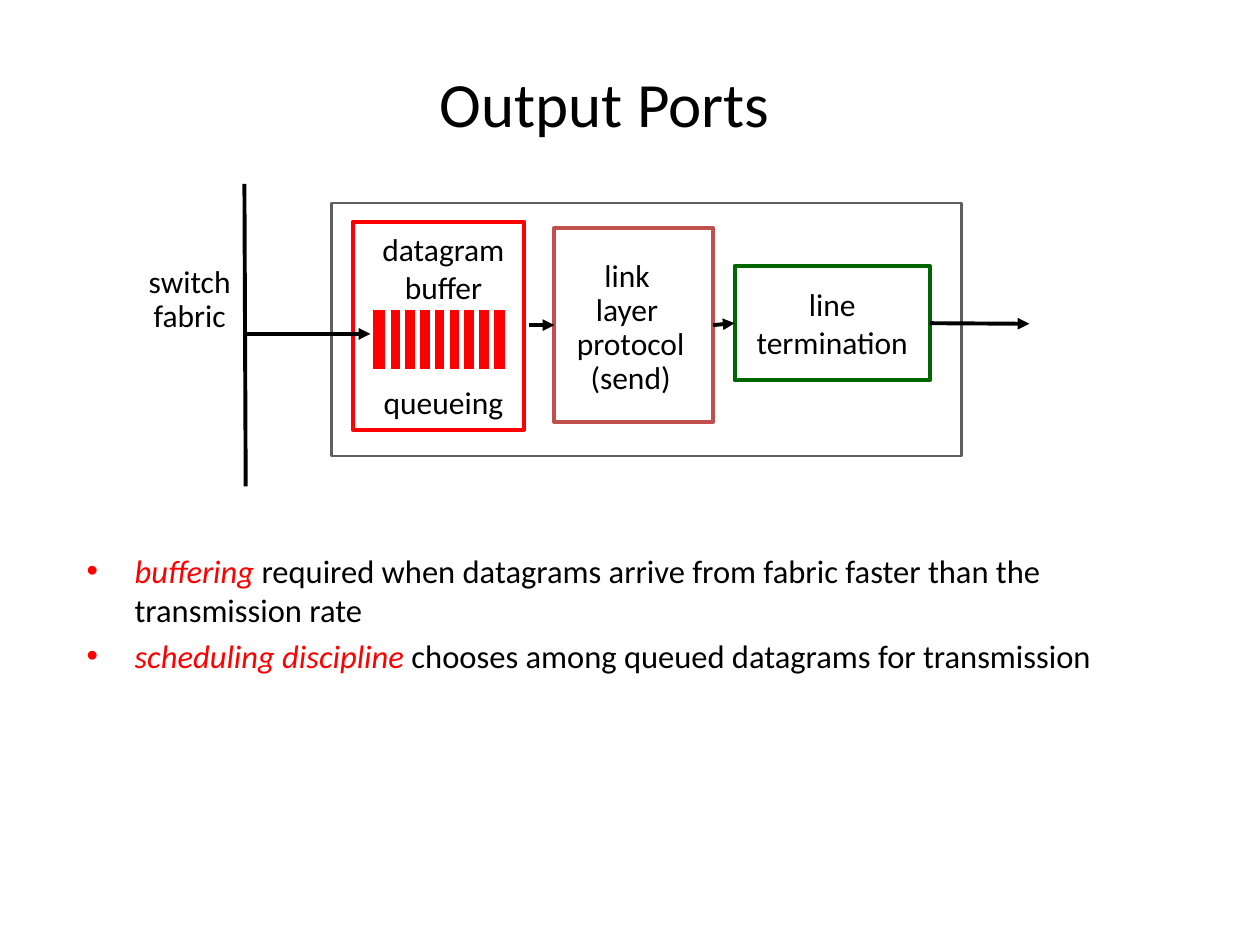
from lxml import etree
from pptx import Presentation
from pptx.dml.color import RGBColor
from pptx.enum.shapes import MSO_CONNECTOR, MSO_SHAPE
from pptx.enum.text import MSO_ANCHOR, PP_ALIGN
from pptx.oxml.ns import qn
from pptx.util import Inches, Pt

RECT, STRAIGHT = MSO_SHAPE.RECTANGLE, MSO_CONNECTOR.STRAIGHT
TOP, MIDDLE = MSO_ANCHOR.TOP, MSO_ANCHOR.MIDDLE
LEFT, CENTER = PP_ALIGN.LEFT, PP_ALIGN.CENTER
LEFT_SIDE, RIGHT_SIDE = 1, 3
FONT = "Calibri"
COLORS = {"black": "000000", "white": "FFFFFF", "red": "FF0000",
          "gray": "5F5F5F", "green": "006600", "brick": "C0504D"}


def rgb(name):
    return RGBColor.from_string(COLORS[name])


def write(shape, paragraphs, size=18, align=CENTER, anchor=MIDDLE, wrap=False, spacing=None):
    """Fill a shape with paragraphs, each a list of (text, color, italic) runs or a string."""
    frame = shape.text_frame
    frame.word_wrap = wrap
    frame.vertical_anchor = anchor
    for index, runs in enumerate(paragraphs):
        paragraph = frame.paragraphs[0] if index == 0 else frame.add_paragraph()
        paragraph.alignment = align
        paragraph.line_spacing = spacing
        if isinstance(runs, str):
            runs = [(runs, "black", False)]
        for text, color, italic in runs:
            run = paragraph.add_run()
            run.text = text
            run.font.name = FONT
            run.font.size = Pt(size)
            run.font.italic = italic
            run.font.color.rgb = rgb(color)
    return frame


prs = Presentation()
prs.slide_width, prs.slide_height = Inches(10), Inches(7.5)
slide = prs.slides.add_slide(prs.slide_layouts[6])
shapes = slide.shapes

# Title
title = shapes.add_textbox(Inches(0.55), Inches(0.44), Inches(8.5), Inches(0.75))
write(title, ["Output Ports"], size=36, wrap=True)

# Bulleted notes
notes = shapes.add_textbox(Inches(0.59), Inches(4.32), Inches(8.5), Inches(1))
notes_frame = write(notes, [
    [("buffering", "red", True),
     (" required when datagrams arrive from fabric faster than the transmission rate",
      "black", False)],
    [("scheduling discipline", "red", True),
     (" chooses among queued datagrams for transmission", "black", False)],
], size=18.6, align=LEFT, anchor=TOP, wrap=True)
for paragraph in notes_frame.paragraphs:
    properties = paragraph._p.get_or_add_pPr()
    properties.set("marL", str(Inches(0.38)))
    properties.set("indent", str(-Inches(0.38)))
    etree.SubElement(properties, qn("a:buFont"), typeface="Arial")
    etree.SubElement(properties, qn("a:buChar"), char="•")
notes_frame.paragraphs[1].space_before = Pt(4)

# Boxes: container, left, top, width, height, fill, line color, line width
queue = shapes.add_group_shape().shapes
boxes = {
    "port": (shapes, 2.63, 1.61, 5, 2.01, "white", "gray", 1.5),
    "termination": (shapes, 5.83, 2.11, 1.55, 0.91, "white", "green", 2.25),
    "link": (shapes, 4.4, 1.81, 1.26, 1.54, "white", "brick", 2.25),
    "link label": (shapes, 4.43, 2.15, 1.15, 0.91, "white", None, 0),
    "fabric label": (shapes, 0.93, 1.93, 1.15, 0.91, "white", None, 0),
    "queue": (queue, 2.8, 1.76, 1.36, 1.65, "white", "red", 2.25),
    "buffer": (queue, 2.94, 2.44, 1.09, 0.51, "red", "white", 3),
}
parts = {}
for name, (container, left, top, width, height, fill, line, weight) in boxes.items():
    box = container.add_shape(RECT, Inches(left), Inches(top), Inches(width), Inches(height))
    box.shadow.inherit = False
    box.fill.solid()
    box.fill.fore_color.rgb = rgb(fill)
    if line:
        box.line.color.rgb = rgb(line)
        box.line.width = Pt(weight)
    else:
        box.line.fill.background()
    parts[name] = box

# The port frame lies behind the queue group
shapes._spTree.insert(2, parts["port"]._element)

write(parts["termination"], ["line", "termination"])
write(parts["link label"], ["link ", "layer ", "protocol", "(send)"], spacing=0.9)
write(parts["fabric label"], ["switch", "fabric"], spacing=0.9)

queue_label = queue.add_textbox(Inches(2.87), Inches(1.78), Inches(1.3), Inches(1.6))
queue_frame = write(queue_label, ["datagram", "buffer", "queueing"], anchor=TOP)
queue_frame.paragraphs[2].space_before = Pt(44)

# Lines: container, start, end, color, width, arrowhead, joined start, joined end
lines = [(queue, (3.08 + 0.117 * slot, 2.45), (3.08 + 0.117 * slot, 2.94),
          "white", 3, False, None, None) for slot in range(8)]
lines += [
    (shapes, (1.94, 1.46), (1.95, 3.86), "black", 2.25, False, None, None),
    (shapes, (1.93, 2.65), (2.94, 2.65), "black", 2.25, True, None, None),
    (shapes, (4.2, 2.58), (4.4, 2.58), "black", 2.25, True, None, "link"),
    (shapes, (5.66, 2.58), (5.83, 2.57), "black", 2.25, True, "link", "termination"),
    (shapes, (7.38, 2.57), (8.17, 2.57), "black", 2.25, True, "termination", None),
]
for container, start, end, color, weight, arrow, source, target in lines:
    connector = container.add_connector(STRAIGHT, *map(Inches, start + end))
    connector.line.color.rgb = rgb(color)
    connector.line.width = Pt(weight)
    if arrow:
        etree.SubElement(connector.line._get_or_add_ln(), qn("a:tailEnd"), type="triangle")
    etree.SubElement(connector._element.spPr, qn("a:effectLst"))
    if source:
        connector.begin_connect(parts[source], RIGHT_SIDE)
    if target:
        connector.end_connect(parts[target], LEFT_SIDE)

prs.save("out.pptx")
